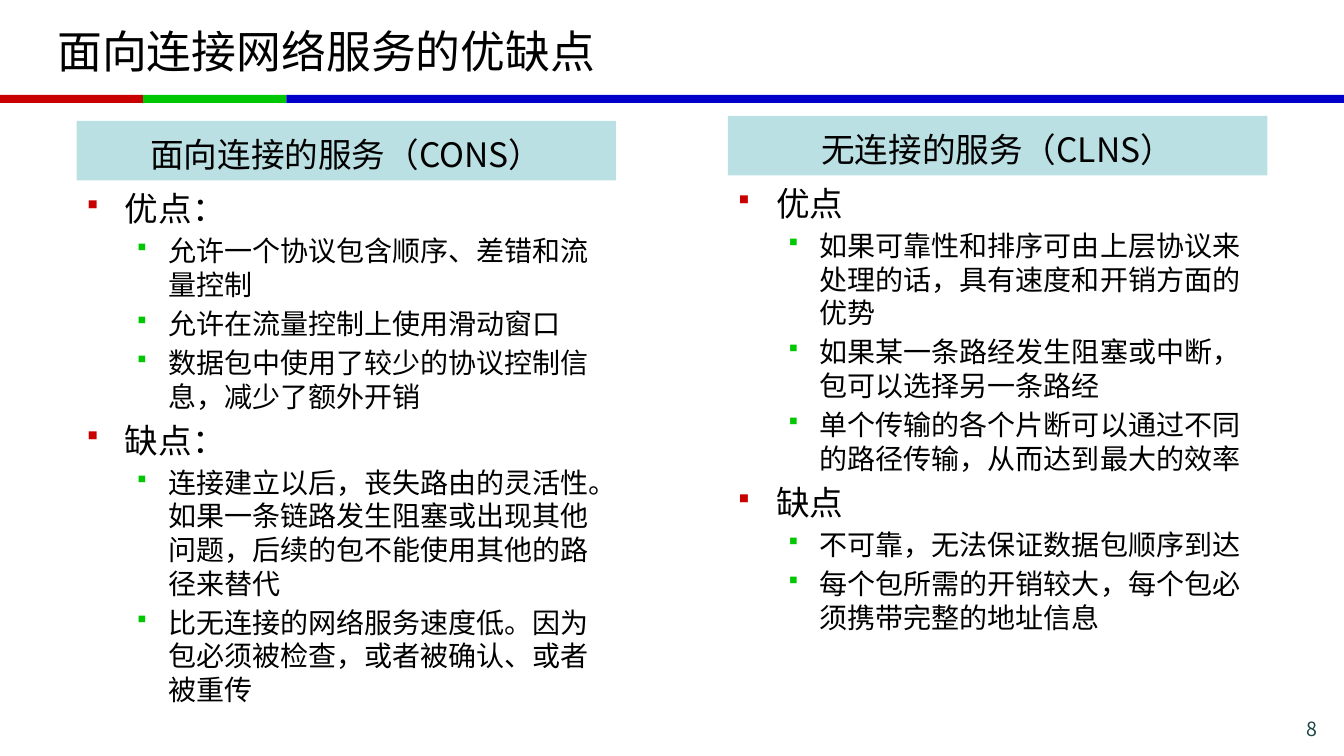
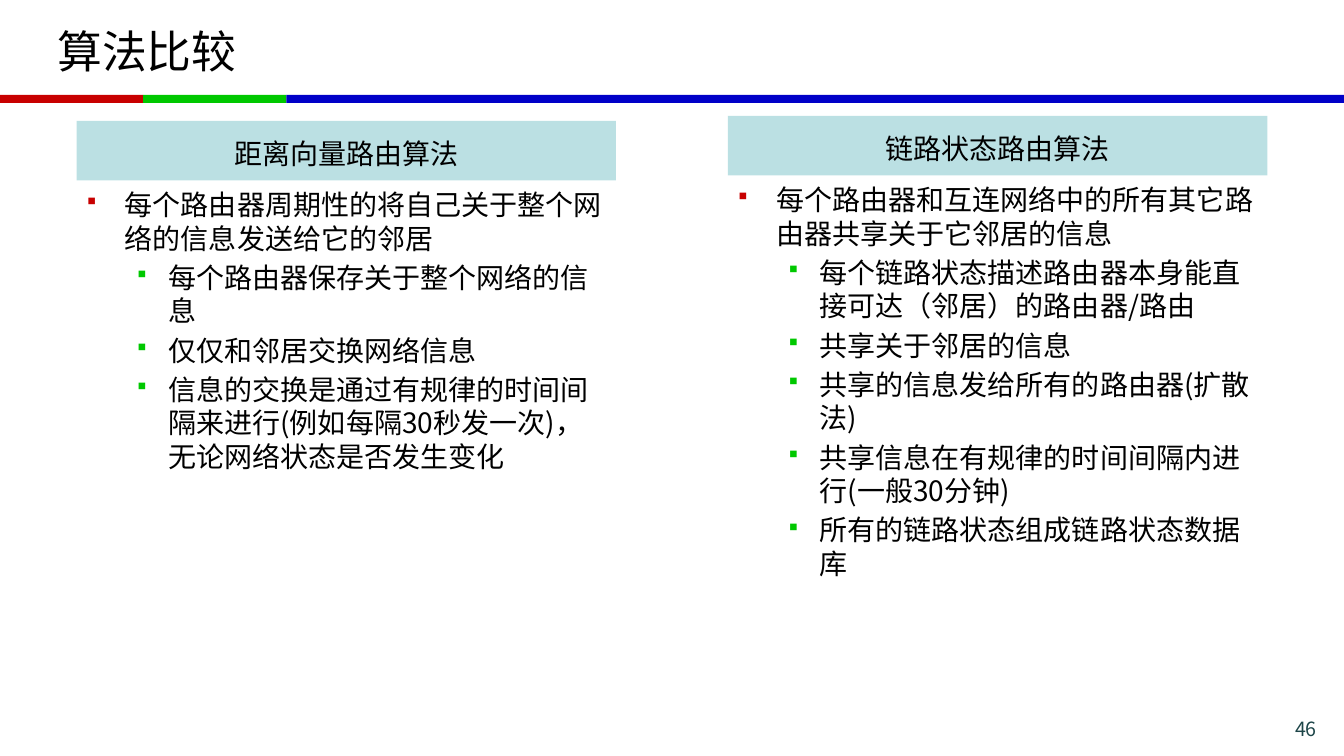
"""Build two comparison slides on network services and routing algorithms."""
from lxml import etree
from pptx import Presentation
from pptx.dml.color import RGBColor
from pptx.enum.shapes import MSO_SHAPE
from pptx.enum.text import MSO_ANCHOR, PP_ALIGN
from pptx.oxml.ns import qn
from pptx.util import Inches, Pt

RECTANGLE = MSO_SHAPE.RECTANGLE
TOP, MIDDLE = MSO_ANCHOR.TOP, MSO_ANCHOR.MIDDLE
LEFT, CENTER, RIGHT = PP_ALIGN.LEFT, PP_ALIGN.CENTER, PP_ALIGN.RIGHT

BLACK = RGBColor(0x00, 0x00, 0x00)
RED = RGBColor(0xC8, 0x00, 0x00)
GREEN = RGBColor(0x00, 0xC8, 0x00)
BLUE = RGBColor(0x00, 0x00, 0xC8)
PALE_TEAL = RGBColor(0xBB, 0xE0, 0xE3)
DARK_TEAL = RGBColor(0x1E, 0x46, 0x49)

FONT = "Noto Sans CJK SC"
SLIDE_WIDTH, SLIDE_HEIGHT = 13.33, 7.5
BAND_TOP, BAND_HEIGHT, BAND_STEP = 0.94, 0.08, 1.42
COLUMN_WIDTH, HEADING_HEIGHT = 5.35, 0.59
COLUMN_ORIGINS = ((0.76, 1.2), (7.22, 1.15))
LINE_FACTOR, SPACE_FACTOR = 1.2, 0.2
LEVELS = ((0.38, -0.38, RED), (0.81, -0.31, GREEN))
DETAIL_SIZE = 20

SLIDES = [
    {
        "title": "面向连接网络服务的优缺点",
        "number": "8",
        "size": 24,
        "body_height": 5.51,
        "columns": [
            ("面向连接的服务（CONS）", [
                ("优点：", [
                    "允许一个协议包含顺序、差错和流量控制",
                    "允许在流量控制上使用滑动窗口",
                    "数据包中使用了较少的协议控制信息，减少了额外开销",
                ]),
                ("缺点：", [
                    "连接建立以后，丧失路由的灵活性。如果一条链路发生阻塞或出现其他问题，"
                    "后续的包不能使用其他的路径来替代",
                    "比无连接的网络服务速度低。因为包必须被检查，或者被确认、或者被重传",
                ]),
            ]),
            ("无连接的服务（CLNS）", [
                ("优点", [
                    "如果可靠性和排序可由上层协议来处理的话，具有速度和开销方面的优势",
                    "如果某一条路经发生阻塞或中断，包可以选择另一条路经",
                    "单个传输的各个片断可以通过不同的路径传输，从而达到最大的效率",
                ]),
                ("缺点", [
                    "不可靠，无法保证数据包顺序到达",
                    "每个包所需的开销较大，每个包必须携带完整的地址信息",
                ]),
            ]),
        ],
    },
    {
        "title": "算法比较",
        "number": "46",
        "size": 20,
        "body_height": 4.52,
        "columns": [
            ("距离向量路由算法", [
                ("每个路由器周期性的将自己关于整个网络的信息发送给它的邻居", [
                    "每个路由器保存关于整个网络的信息",
                    "仅仅和邻居交换网络信息",
                    "信息的交换是通过有规律的时间间隔来进行(例如每隔30秒发一次)，"
                    "无论网络状态是否发生变化",
                ]),
            ]),
            ("链路状态路由算法", [
                ("每个路由器和互连网络中的所有其它路由器共享关于它邻居的信息", [
                    "每个链路状态描述路由器本身能直接可达（邻居）的路由器/路由",
                    "共享关于邻居的信息",
                    "共享的信息发给所有的路由器(扩散法)",
                    "共享信息在有规律的时间间隔内进行(一般30分钟)",
                    "所有的链路状态组成链路状态数据库",
                ]),
            ]),
        ],
    },
]


def add_rectangle(slide, left, top, width, height, color):
    """Add a flat filled rectangle."""
    shape = slide.shapes.add_shape(
        RECTANGLE, Inches(left), Inches(top), Inches(width), Inches(height))
    shape.shadow.inherit = False
    shape.fill.solid()
    shape.fill.fore_color.rgb = color
    shape.line.fill.background()
    return shape


def add_text_box(slide, left, top, width, height, anchor=TOP):
    """Add a wrapping text box and return its text frame."""
    box = slide.shapes.add_textbox(
        Inches(left), Inches(top), Inches(width), Inches(height))
    frame = box.text_frame
    frame.word_wrap = True
    frame.vertical_anchor = anchor
    return frame


def write_run(paragraph, text, size, color=BLACK, alignment=LEFT):
    """Write one run in the deck font."""
    paragraph.alignment = alignment
    run = paragraph.add_run()
    run.text = text
    run.font.name = FONT
    run.font.size = Pt(size)
    run.font.color.rgb = color
    east_asian = etree.SubElement(run.font._element, qn("a:ea"))
    east_asian.set("typeface", FONT)


def add_bullet(paragraph, level):
    """Give a paragraph the square bullet and indent of its level."""
    margin, indent, color = LEVELS[level]
    paragraph.level = level
    properties = paragraph._p.get_or_add_pPr()
    properties.set("marL", str(Inches(margin)))
    properties.set("indent", str(Inches(indent)))
    bullet_color = etree.SubElement(properties, qn("a:buClr"))
    etree.SubElement(bullet_color, qn("a:srgbClr")).set("val", str(color))
    etree.SubElement(properties, qn("a:buSzPct")).set("val", "80000")
    etree.SubElement(properties, qn("a:buFont")).set("typeface", "Wingdings")
    etree.SubElement(properties, qn("a:buChar")).set("char", "§")


def add_frame(slide, title, number):
    """Add the title, colour band and page number."""
    blue_left = 2 * BAND_STEP
    bands = ((0, BAND_STEP, RED), (BAND_STEP, BAND_STEP, GREEN),
             (blue_left, SLIDE_WIDTH - blue_left, BLUE))
    for left, width, color in bands:
        add_rectangle(slide, left, BAND_TOP, width, BAND_HEIGHT, color)
    title_frame = add_text_box(slide, 0.47, 0.08, 12.39, 0.84, MIDDLE)
    write_run(title_frame.paragraphs[0], title, 32)
    number_frame = add_text_box(slide, 11.86, 7.06, 1.3, 0.28)
    paragraph = number_frame.paragraphs[0]
    write_run(paragraph, number, 14, DARK_TEAL, RIGHT)
    paragraph.line_spacing = Pt(14 * LINE_FACTOR)


def add_heading(slide, left, top, text, size):
    """Add the filled heading of a column."""
    shape = add_rectangle(slide, left, top, COLUMN_WIDTH, HEADING_HEIGHT, PALE_TEAL)
    frame = shape.text_frame
    frame.word_wrap = True
    frame.vertical_anchor = MIDDLE
    frame.margin_left = frame.margin_right = Inches(0.12)
    frame.margin_top, frame.margin_bottom = Inches(0.07), Inches(0.01)
    write_run(frame.paragraphs[0], text, size, alignment=CENTER)


def add_outline(slide, left, top, height, groups, size):
    """Add a two-level bulleted list."""
    frame = add_text_box(slide, left, top, COLUMN_WIDTH, height)
    frame.margin_top = Inches(0.07)
    items = []
    for point, details in groups:
        items.append((point, 0, size))
        items.extend((detail, 1, DETAIL_SIZE) for detail in details)
    for index, (text, level, item_size) in enumerate(items):
        paragraph = frame.add_paragraph() if index else frame.paragraphs[0]
        add_bullet(paragraph, level)
        write_run(paragraph, text, item_size)
        paragraph.line_spacing = Pt(item_size * LINE_FACTOR)
        if index:
            paragraph.space_before = Pt(item_size * SPACE_FACTOR)


def add_comparison(presentation, content):
    """Add one slide with two headed columns."""
    slide = presentation.slides.add_slide(presentation.slide_layouts[6])
    add_frame(slide, content["title"], content["number"])
    size = content["size"]
    for (left, top), (heading, groups) in zip(COLUMN_ORIGINS, content["columns"]):
        add_heading(slide, left, top, heading, size)
        add_outline(slide, left, top + HEADING_HEIGHT,
                    content["body_height"], groups, size)


def main():
    """Build and save the presentation."""
    presentation = Presentation()
    presentation.slide_width = Inches(SLIDE_WIDTH)
    presentation.slide_height = Inches(SLIDE_HEIGHT)
    for content in SLIDES:
        add_comparison(presentation, content)
    presentation.save("out.pptx")


if __name__ == "__main__":
    main()
